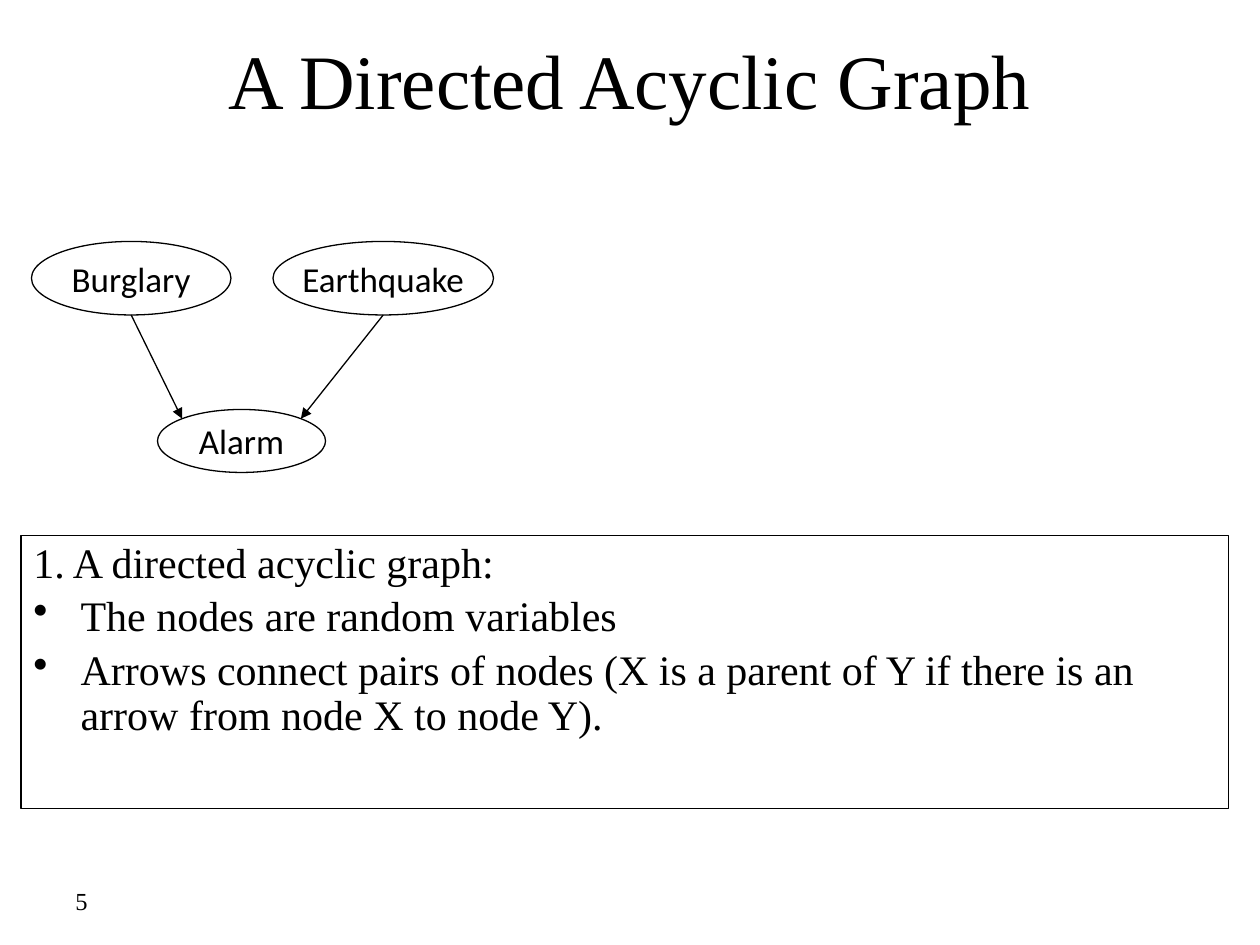
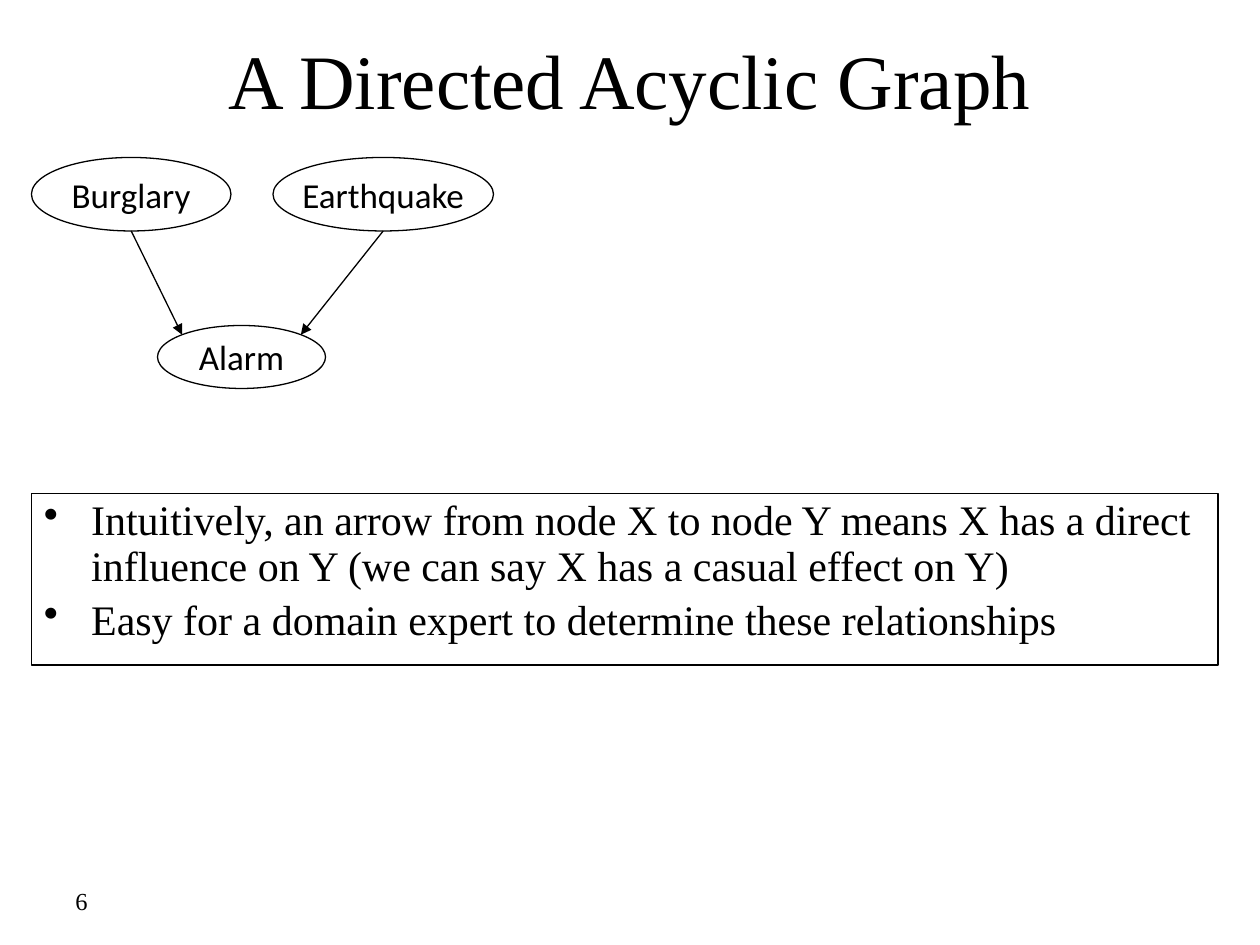
"""Builds two slides on the directed acyclic graph of the burglary alarm."""
from math import sqrt
from typing import NamedTuple

from lxml.etree import SubElement
from pptx import Presentation
from pptx.dml.color import RGBColor
from pptx.enum.shapes import MSO_CONNECTOR as Connector, MSO_SHAPE as Shape
from pptx.enum.text import MSO_ANCHOR as Anchor, MSO_AUTO_SIZE as AutoSize, PP_ALIGN as Align
from pptx.oxml.ns import qn
from pptx.util import Pt

COLOURS = {"ink": "000000", "paper": "FFFFFF"}
SERIF, SANS = "Times New Roman", "Calibri"
TITLE_ONLY = 5
HANGING = 27
INK = RGBColor.from_string(COLOURS["ink"])


class Box(NamedTuple):
    left: float
    top: float
    width: float
    height: float

    def lengths(self) -> tuple:
        return tuple(Pt(value) for value in self)

    def lowered(self, distance: float) -> "Box":
        return self._replace(top=self.top + distance)


class Node(NamedTuple):
    name: str
    box: Box


class Point(NamedTuple):
    text: str
    bulleted: bool = True


class GraphSlide(NamedTuple):
    number: int
    graph_top: float
    definition_box: Box
    points: list[Point]


TITLE = "A Directed Acyclic Graph"
TITLE_BOX = Box(54, 12, 612, 66)
NUMBER_BOX = Box(36, 500.4, 168, 28.8)
ALARM = Node("Alarm", Box(90, 96, 96, 36))
BURGLARY = Node("Burglary", Box(18, 0, 114, 42))
EARTHQUAKE = Node("Earthquake", Box(156, 0, 126, 42))
SLIDES = [
    GraphSlide(5, 138, Box(12, 306, 690, 156), [
        Point("1. A directed acyclic graph:", bulleted=False),
        Point("The nodes are random variables"),
        Point("Arrows connect pairs of nodes (X is a parent of Y if there is an "
              "arrow from node X to node Y)."),
    ]),
    GraphSlide(6, 90, Box(18, 282, 678, 98), [
        Point("Intuitively, an arrow from node X to node Y means X has a direct "
              "influence on Y (we can say X has a casual effect on Y)"),
        Point("Easy for a domain expert to determine these relationships"),
    ]),
]


def write(frame, points: list[Point], *, size: float, font: str = SERIF, align=Align.LEFT,
          anchor=Anchor.MIDDLE, wrap: bool = True, hanging: float = 0,
          line_spacing: float = 1, gap: float = 0) -> None:
    """Fill a text frame with one paragraph for each point."""
    frame.auto_size = AutoSize.NONE
    frame.word_wrap = wrap
    frame.vertical_anchor = anchor
    for index, point in enumerate(points):
        paragraph = frame.add_paragraph() if index else frame.paragraphs[0]
        if hanging:
            properties = paragraph._p.get_or_add_pPr()
            properties.set("marL", str(Pt(hanging)))
            properties.set("indent", str(-Pt(hanging)))
            if point.bulleted:
                SubElement(properties, qn("a:buChar"), char="•")
            else:
                SubElement(properties, qn("a:buNone"))
        paragraph.alignment = align
        paragraph.line_spacing = line_spacing
        paragraph.space_before = Pt(gap if index else 0)
        run = paragraph.add_run()
        run.text = point.text
        run.font.name, run.font.size = font, Pt(size)
        run.font.color.rgb = INK


def add_outline(slide, kind, box: Box):
    """Add an unfilled shape with a thin dark outline."""
    shape = slide.shapes.add_shape(kind, *box.lengths())
    shape.shadow.inherit = False
    shape.fill.background()
    shape.line.color.rgb = INK
    shape.line.width = Pt(0.75)
    return shape


def add_node(slide, node: Node, graph_top: float) -> None:
    """Add an ellipse that names a random variable."""
    ellipse = add_outline(slide, Shape.OVAL, node.box.lowered(graph_top))
    write(ellipse.text_frame, [Point(node.name)], size=20, font=SANS,
          align=Align.CENTER, wrap=False)


def add_arrow(slide, parent: Node, child: Node, graph_top: float) -> None:
    """Join a parent's lowest point to the child's nearer upper diagonal."""
    start, end = (node.box.lowered(graph_top) for node in (parent, child))
    start_x = start.left + start.width / 2
    centre_x = end.left + end.width / 2
    side = -1 if start_x < centre_x else 1
    end_x = centre_x + side * end.width / 2 / sqrt(2)
    end_y = end.top + end.height / 2 * (1 - 1 / sqrt(2))
    arrow = slide.shapes.add_connector(
        Connector.STRAIGHT, Pt(start_x), Pt(start.top + start.height), Pt(end_x), Pt(end_y))
    arrow.line.color.rgb = INK
    arrow.line.width = Pt(0.75)
    SubElement(arrow.line._get_or_add_ln(), qn("a:tailEnd"), type="triangle")
    SubElement(arrow._element.spPr, qn("a:effectLst"))


def add_graph_slide(deck, content: GraphSlide) -> None:
    """Add a slide with its title, graph, definition and number."""
    slide = deck.slides.add_slide(deck.slide_layouts[TITLE_ONLY])
    slide.background.fill.solid()
    slide.background.fill.fore_color.rgb = RGBColor.from_string(COLOURS["paper"])
    title = slide.shapes.title
    title.left, title.top, title.width, title.height = TITLE_BOX.lengths()
    write(title.text_frame, [Point(TITLE)], size=44, align=Align.CENTER)
    number = slide.shapes.add_textbox(*NUMBER_BOX.lengths())
    write(number.text_frame, [Point(str(content.number))], size=14)
    definition = add_outline(slide, Shape.RECTANGLE, content.definition_box)
    write(definition.text_frame, content.points, size=24, anchor=Anchor.TOP,
          hanging=HANGING, line_spacing=0.9, gap=4.8)
    for node in (ALARM, BURGLARY, EARTHQUAKE):
        add_node(slide, node, content.graph_top)
    for parent in (BURGLARY, EARTHQUAKE):
        add_arrow(slide, parent, ALARM, content.graph_top)


def main() -> None:
    """Build and save the deck."""
    deck = Presentation()
    deck.slide_width, deck.slide_height = Pt(720), Pt(540)
    for content in SLIDES:
        add_graph_slide(deck, content)
    deck.save("out.pptx")


if __name__ == "__main__":
    main()
